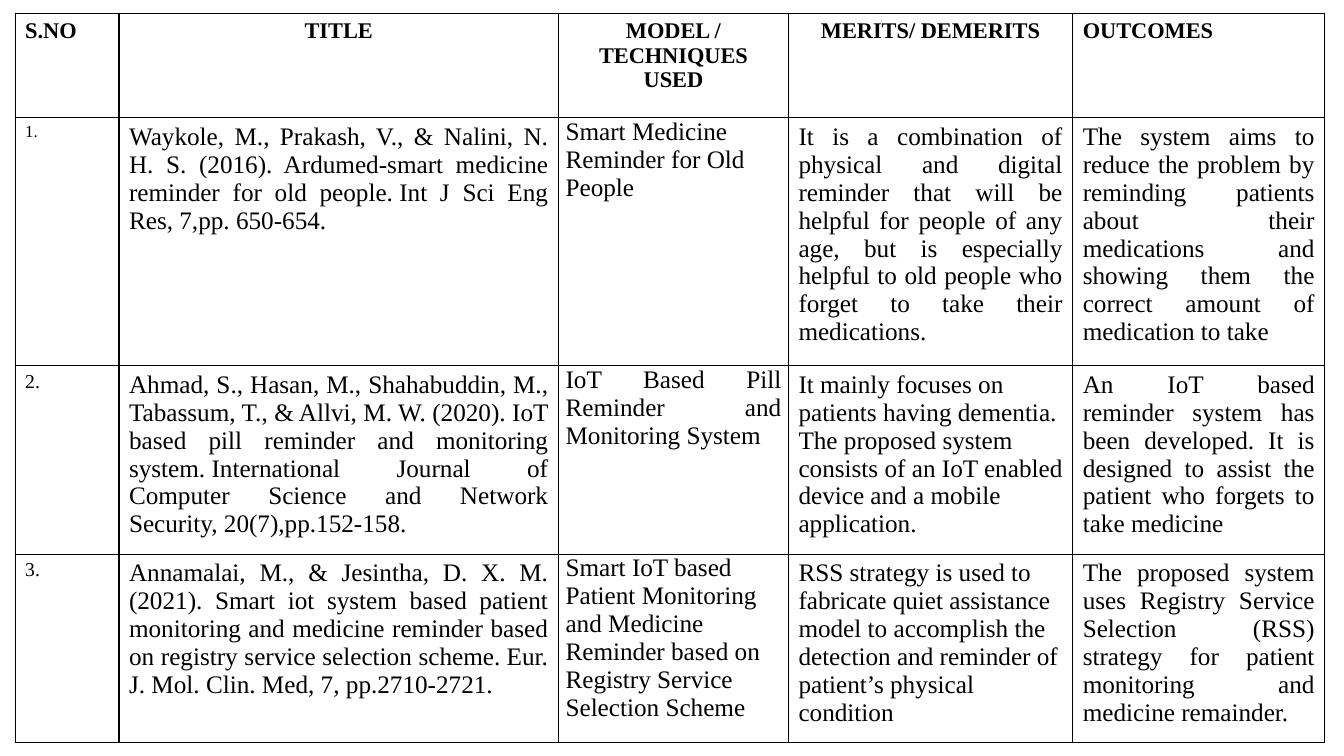
from lxml import etree
from pptx import Presentation
from pptx.dml.color import RGBColor
from pptx.enum.text import PP_ALIGN
from pptx.oxml.ns import qn
from pptx.util import Inches, Pt

LEFT, MID, JUST = PP_ALIGN.LEFT, PP_ALIGN.CENTER, PP_ALIGN.JUSTIFY
FONT = "Times New Roman"
COLORS = {"ink": "000000", "page": "FFFFFF"}
COLS = [1.03, 4.36, 2.28, 2.82, 2.5]
ROWS = [1.04, 2.46, 1.87, 1.87]
MODEL = 2  # column with tight margins

# Each cell: alignment, then its paragraphs
HEAD = [
    (LEFT, "S.NO"),
    (MID, "TITLE"),
    (MID, "MODEL / TECHNIQUES USED"),
    (MID, "MERITS/ DEMERITS"),
    (LEFT, "OUTCOMES"),
]
PAPERS = [
    [
        (LEFT, "1."),
        (JUST, "Waykole, M., Prakash, V., & Nalini, N. H. S. (2016). "
               "Ardumed-smart medicine reminder for old people.\u00a0"
               "Int J Sci Eng Res,\u00a07,pp. 650-654."),
        (JUST, "Smart Medicine", "Reminder for Old", "People"),
        (JUST, "It is a combination of physical and digital reminder that "
               "will be helpful for people of any age, but is especially "
               "helpful to old people who forget to take their medications."),
        (JUST, "The system aims to reduce the problem by reminding patients "
               "about their medications and showing them the correct amount "
               "of medication to take"),
    ],
    [
        (LEFT, "2."),
        (JUST, "Ahmad, S., Hasan, M., Shahabuddin, M., Tabassum, T., & Allvi, "
               "M. W. (2020). IoT based pill reminder and monitoring system."
               "\u00a0International Journal of Computer Science and Network "
               "Security,\u00a020(7),pp.152-158."),
        (JUST, "IoT Based Pill Reminder and Monitoring System"),
        (LEFT, "It mainly focuses on patients having dementia.",
               "The proposed system consists of an IoT enabled device and a "
               "mobile application."),
        (JUST, "An IoT based reminder system has been developed. It is "
               "designed to assist the patient who forgets to take medicine"),
    ],
    [
        (LEFT, "3."),
        (JUST, "Annamalai, M., & Jesintha, D. X. M. (2021). Smart iot system "
               "based patient monitoring and medicine reminder based on "
               "registry service selection scheme.\u00a0Eur. J. Mol. Clin. "
               "Med,\u00a07, pp.2710-2721."),
        (LEFT, "Smart IoT based Patient Monitoring and Medicine Reminder "
               "based on Registry Service Selection Scheme"),
        (LEFT, "RSS strategy is used to fabricate quiet assistance model to "
               "accomplish the detection and reminder of patient\u2019s "
               "physical condition"),
        (JUST, "The proposed system uses Registry Service Selection (RSS) "
               "strategy for patient monitoring and medicine remainder."),
    ],
]


def add_grid(slide):
    frame = slide.shapes.add_table(
        len(ROWS), len(COLS), Inches(0.15), Inches(0.13),
        Inches(sum(COLS)), Inches(sum(ROWS)))
    grid = frame.table
    for col, width in zip(grid.columns, COLS):
        col.width = Inches(width)
    for row, height in zip(grid.rows, ROWS):
        row.height = Inches(height)
    return grid


def set_edges(cell):
    props = cell._tc.get_or_add_tcPr()
    # Borders must come before the fill
    for spot, side in enumerate(("lnL", "lnR", "lnT", "lnB")):
        line = etree.Element(qn("a:" + side), w=str(Pt(1)))
        fill = etree.SubElement(line, qn("a:solidFill"))
        etree.SubElement(fill, qn("a:srgbClr"), val=COLORS["ink"])
        props.insert(spot, line)


def set_box(cell, tight):
    side, edge = (0.07, 0) if tight else (0.1, 0.05)
    cell.margin_left = cell.margin_right = Inches(side)
    cell.margin_top = cell.margin_bottom = Inches(edge)
    cell.fill.solid()
    cell.fill.fore_color.rgb = RGBColor.from_string(COLORS["page"])
    set_edges(cell)


def add_text(cell, align, lines, size, bold):
    frame = cell.text_frame
    for num, line in enumerate(lines):
        para = frame.add_paragraph() if num else frame.paragraphs[0]
        para.alignment = align
        run = para.add_run()
        run.text = line
        font = run.font
        font.name, font.size, font.bold = FONT, Pt(size), bold
        font.color.rgb = RGBColor.from_string(COLORS["ink"])


def text_size(row, col):
    if row == 0:
        return 16
    if col == 0:
        return 12 if row == 1 else 14
    return 18


def main():
    deck = Presentation()
    deck.slide_width, deck.slide_height = Inches(13.33), Inches(7.5)
    slide = deck.slides.add_slide(deck.slide_layouts[6])

    # Survey of papers, header row first
    grid = add_grid(slide)
    for row, cells in enumerate([HEAD] + PAPERS):
        for col, (align, *lines) in enumerate(cells):
            cell = grid.cell(row, col)
            set_box(cell, row > 0 and col == MODEL)
            add_text(cell, align, lines, text_size(row, col), row == 0)

    deck.save("out.pptx")


main()
